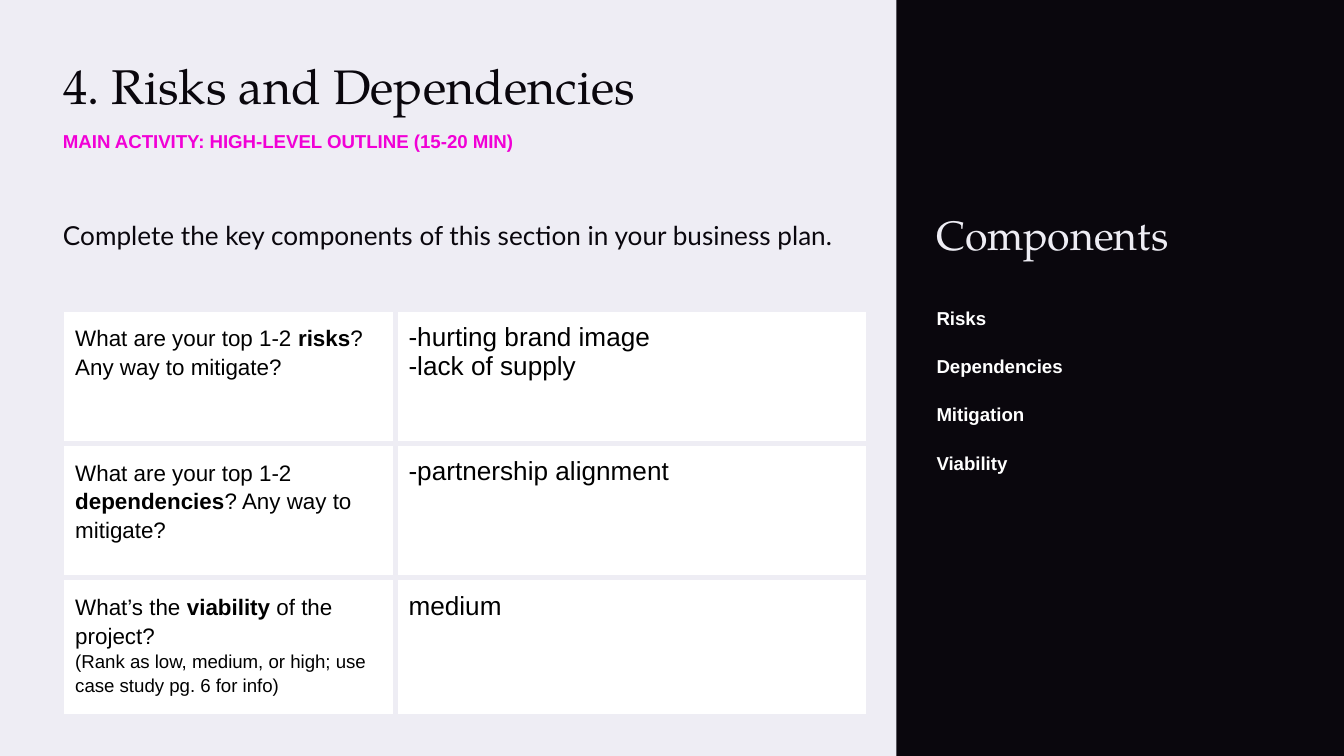
"""Build the Risks and Dependencies slide with its worksheet table and components panel."""
from pptx import Presentation
from pptx.dml.color import RGBColor
from pptx.enum import shapes, text
from pptx.oxml import parse_xml
from pptx.oxml.ns import nsdecls
from pptx.util import Inches, Pt

INK, PALE, WHITE, PINK = "0A070D", "EEEDF4", "FFFFFF", "F100D6"
SERIF = "TeX Gyre Pagella"


def paint(fill, colour):
    fill.solid()
    fill.fore_color.rgb = RGBColor.from_string(colour)


def write(frame, lines, sizes=(14,), font="Arial", colour="000000", bold=False, spacing=1.15, gap=0):
    frame.word_wrap = True
    frame.auto_size = text.MSO_AUTO_SIZE.NONE
    frame.vertical_anchor = text.MSO_ANCHOR.TOP
    frame.margin_left = frame.margin_right = frame.margin_top = frame.margin_bottom = Inches(0.1)
    for i, line in enumerate(lines):
        paragraph = frame.paragraphs[0] if i == 0 else frame.add_paragraph()
        paragraph.alignment = text.PP_ALIGN.LEFT
        paragraph.line_spacing = spacing
        paragraph.space_before = Pt(gap if i else 0)
        for j, part in enumerate(line.split("**")):
            run = paragraph.add_run()
            run.text = part
            run.font.name = font
            run.font.size = Pt(sizes[min(i, len(sizes) - 1)])
            run.font.bold = bold or j % 2 == 1
            run.font.color.rgb = RGBColor.from_string(colour)


deck = Presentation()
deck.slide_width = Inches(10)
deck.slide_height = deck.slide_width * 9 // 16
slide = deck.slides.add_slide(deck.slide_layouts[5])
paint(slide.background.fill, PALE)

panel = slide.shapes.add_shape(
    shapes.MSO_SHAPE.RECTANGLE, Inches(6.67), 0, Inches(3.33), deck.slide_height)
panel.shadow.inherit = False
paint(panel.fill, INK)
panel.line.fill.background()

title = slide.shapes.title
title.left, title.top, title.width, title.height = (Inches(n) for n in (0.37, 0.25, 5.96, 0.64))
write(title.text_frame, ["4. Risks and Dependencies"], sizes=(26,), font=SERIF, colour=INK)

components = ["Risks", "Dependencies", "Mitigation", "Viability"]
for box, lines, style in [
    ((0.37, 0.84, 5.82, 0.4), ["MAIN ACTIVITY: HIGH-LEVEL OUTLINE (15-20 MIN)"],
     dict(sizes=(10,), colour=PINK, bold=True)),
    ((0.37, 1.5, 6.05, 0.44), ["Complete the key components of this section in your business plan."],
     dict(font="Lato", colour=INK)),
    ((6.87, 1.5, 2.85, 0.54), ["Components"],
     dict(sizes=(22,), font=SERIF, colour=PALE, spacing=0.9)),
    ((6.87, 2.16, 2.8, 1.46), components,
     dict(sizes=(10,), colour=WHITE, bold=True, gap=12)),
]:
    textbox = slide.shapes.add_textbox(*(Inches(n) for n in box))
    write(textbox.text_frame, lines, **style)

worksheet = [
    (["What are your top 1-2 **risks**? Any way to mitigate?"],
     ["-hurting brand image", "-lack of supply"]),
    (["What are your top 1-2 **dependencies**? Any way to mitigate?"],
     ["-partnership alignment"]),
    (["What’s the **viability** of the project?",
      "(Rank as low, medium, or high; use case study pg. 6 for info)"],
     ["medium"]),
]
table = slide.shapes.add_table(
    len(worksheet), 2, Inches(0.46), Inches(2.3), Inches(6), Inches(3.03)).table
table.first_row = table.horz_banding = False
for column, width in zip(table.columns, (2.48, 3.52)):
    column.width = Inches(width)
for row, height in zip(table.rows, (1, 1, 1.03)):
    row.height = Inches(height)

for row, (question, answer) in enumerate(worksheet):
    write(table.cell(row, 0).text_frame, question, sizes=(12, 10))
    write(table.cell(row, 1).text_frame, answer, spacing=1.0)

for cell in table.iter_cells():
    cell.margin_left = cell.margin_right = cell.margin_top = cell.margin_bottom = Inches(0.1)
    cell.vertical_anchor = text.MSO_ANCHOR.TOP
    properties = cell._tc.get_or_add_tcPr()
    for side in "LRTB":
        properties.append(parse_xml(
            f'<a:ln{side} {nsdecls("a")} w="{Pt(3)}"><a:solidFill>'
            f'<a:srgbClr val="{PALE}"/></a:solidFill></a:ln{side}>'))
    paint(cell.fill, WHITE)

deck.save("out.pptx")
